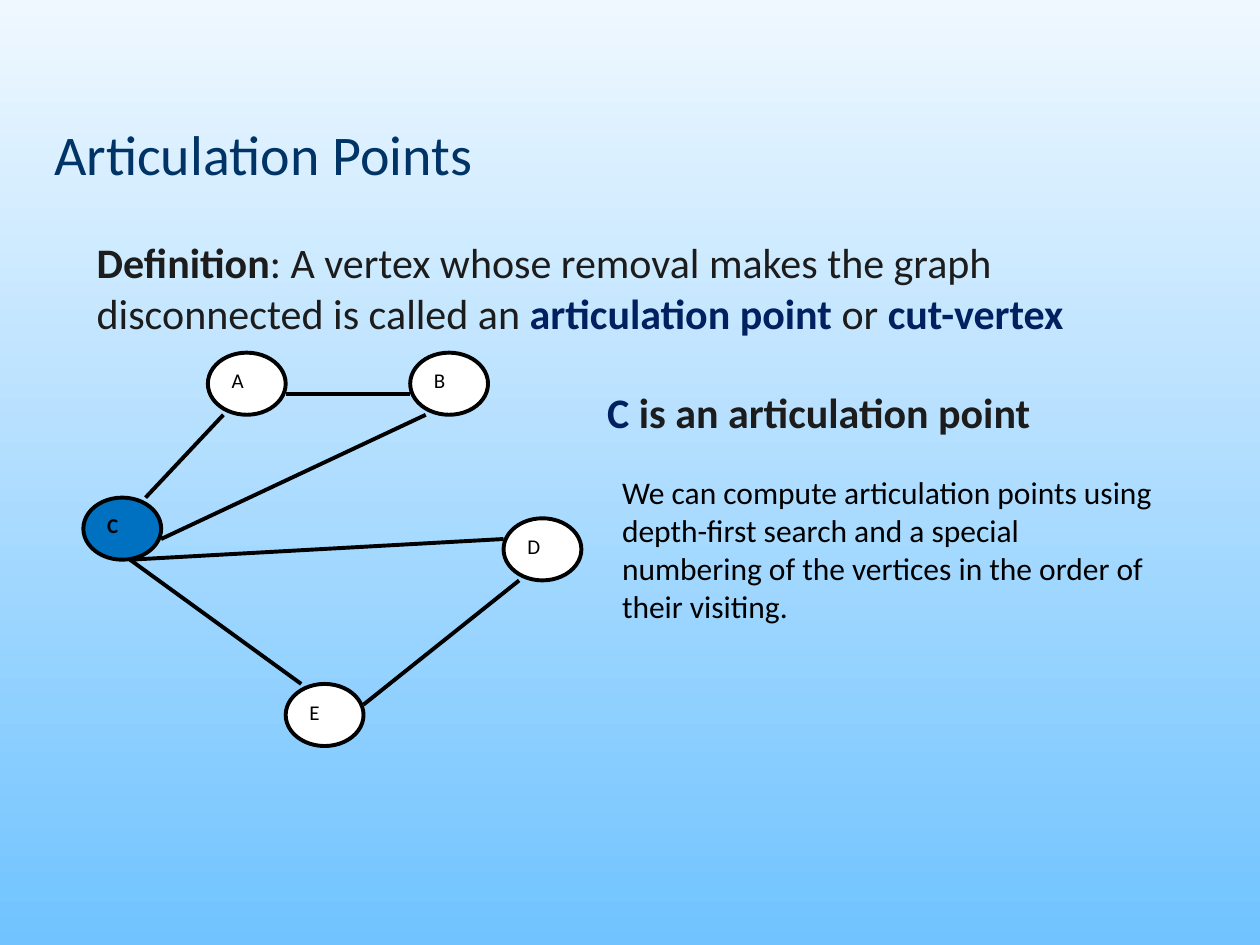
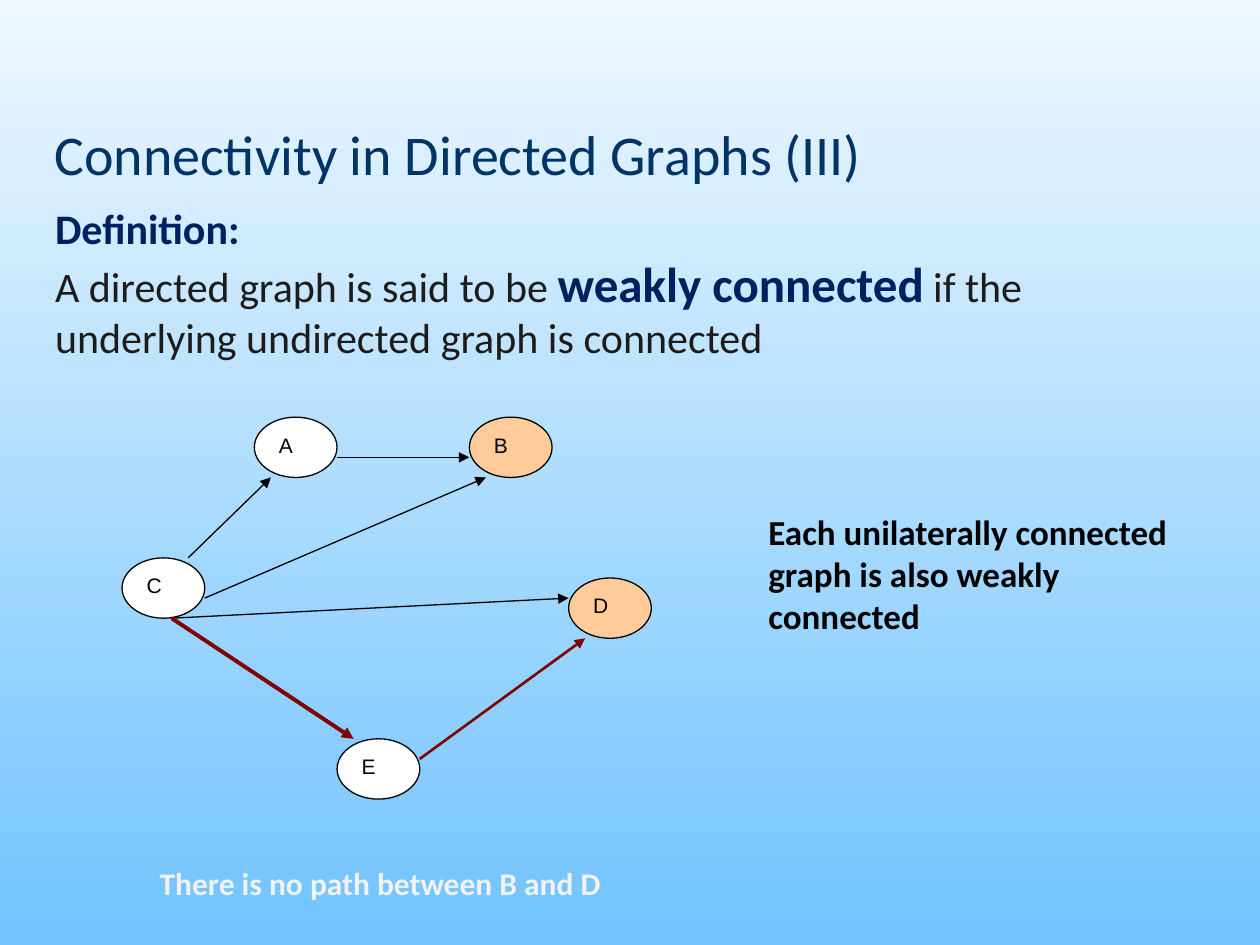
from lxml import etree
from pptx import Presentation
from pptx.dml.color import RGBColor
from pptx.enum.shapes import MSO_CONNECTOR, MSO_SHAPE
from pptx.enum.text import MSO_ANCHOR, MSO_AUTO_SIZE, PP_ALIGN
from pptx.oxml.ns import qn
from pptx.util import Cm, Pt

ELLIPSE = MSO_SHAPE.OVAL
STRAIGHT = MSO_CONNECTOR.STRAIGHT
LEFT = PP_ALIGN.LEFT
TOP, MIDDLE = MSO_ANCHOR.TOP, MSO_ANCHOR.MIDDLE
GROW = MSO_AUTO_SIZE.SHAPE_TO_FIT_TEXT

NAVY, TITLE_BLUE, INK = "002060", "003366", "1C1C1C"
BLACK, WHITE, PALE = "000000", "FFFFFF", "F2F2F2"
BLUE, PEACH, MAROON = "0070C0", "FFCC99", "800000"
SKY_TOP, SKY_BOTTOM = "EFF8FF", "70C3FF"

color = RGBColor.from_string


def style(run, size, hue, bold=False, font="Calibri"):
    run.font.name = font
    run.font.size = Pt(size)
    run.font.bold = bold
    run.font.color.rgb = color(hue)


def add_text(slide, left, top, width, height, pieces):
    """Pieces are (text, size, colour, bold); a leading \\v starts a new line."""
    box = slide.shapes.add_textbox(Cm(left), Cm(top), Cm(width), Cm(height))
    frame = box.text_frame
    frame.word_wrap = True
    frame.auto_size = GROW
    paragraph = frame.paragraphs[0]
    for text, size, hue, bold in pieces:
        if text.startswith("\v"):
            paragraph.add_line_break()
        run = paragraph.add_run()
        run.text = text.lstrip("\v")
        style(run, size, hue, bold)


prs = Presentation()
prs.slide_width, prs.slide_height = Cm(25.4), Cm(19.05)

# Shared background and title place
sky = prs.slide_master.background.fill
sky.gradient()
sky.gradient_angle = 270
for stop, position, hue in zip(sky.gradient_stops, (0, 1), (SKY_TOP, SKY_BOTTOM)):
    stop.position = position
    stop.color.rgb = color(hue)

title_only = prs.slide_layouts[5]
heading = title_only.placeholders[0]
heading.left, heading.top = Cm(0.84), Cm(2.24)
heading.width, heading.height = Cm(23.29), Cm(1.7)

# The graph lies on a grid of 32 x 19 units; a vertex takes 5 x 3 of them
GRID_COLUMNS, GRID_ROWS = 32, 19
VERTICES = {"A": (8, 0), "B": (21, 0), "C": (0, 7), "D": (27, 8), "E": (13, 16)}
EDGES = {
    "AB": (13, 2, 21, 2),
    "CA": (4, 7, 9, 3),
    "CB": (5, 9, 22, 3),
    "CD": (3, 10, 27, 9),
    "ED": (18, 17, 28, 11),
    "CE": (3, 10, 14, 16),
}

# What differs between the two slides
topics = [
    {
        "title": "Articulation Points",
        "graph": (1.68, 7.11, 10.04, 7.93),
        "font": "Calibri", "line": 2.25, "directed": False,
        "fills": {"C": BLUE}, "bold": "C", "edges": {},
        "texts": [
            (1.7, 4.65, 21.8, 2.29, [
                ("Definition", 24, INK, True),
                (": A vertex whose removal makes the graph disconnected is called an ",
                 24, INK, False),
                ("articulation point", 24, NAVY, True),
                (" or ", 24, INK, False),
                ("cut-vertex", 24, NAVY, True)]),
            (11.99, 7.67, 11, 1.27, [
                ("C ", 24, NAVY, True),
                ("is an articulation point", 24, INK, True)]),
            (12.29, 9.42, 11.43, 3.3, [
                ("We can compute articulation points using depth-first search and a "
                 "special numbering of the vertices in the order of their visiting.",
                 18, BLACK, False)]),
        ],
    },
    {
        "title": "Connectivity in Directed Graphs (III)",
        "graph": (2.46, 8.41, 10.67, 7.7),
        "font": "Arial", "line": 0.75, "directed": True,
        "fills": {"B": PEACH, "D": PEACH}, "bold": "",
        "edges": {"ED": (MAROON, 1.5), "CE": (MAROON, 2.25)},
        "texts": [
            (0.86, 3.96, 22.66, 3.48, [
                ("Definition:", 24, NAVY, True),
                ("\vA directed graph is said to be ", 24, INK, False),
                ("weakly connected", 28, NAVY, True),
                (" if the underlying undirected graph is connected", 24, INK, False)]),
            (2.97, 17.3, 11.86, 1.02, [
                ("There is no path between B and D", 18, PALE, True)]),
            (15.24, 10.16, 8.69, 2.79, [
                ("Each unilaterally connected graph is also weakly connected",
                 20, BLACK, True)]),
        ],
    },
]

for topic in topics:
    slide = prs.slides.add_slide(title_only)

    # Title
    title = slide.shapes.title.text_frame
    title.text = topic["title"]
    title.vertical_anchor = MIDDLE
    title.paragraphs[0].alignment = LEFT
    style(title.paragraphs[0].runs[0], 32, TITLE_BLUE)

    # Vertices
    left, top, width, height = topic["graph"]
    unit_x, unit_y = width / GRID_COLUMNS, height / GRID_ROWS
    graph = slide.shapes.add_group_shape().shapes
    for letter, (column, row) in VERTICES.items():
        vertex = graph.add_shape(
            ELLIPSE, Cm(left + column * unit_x), Cm(top + row * unit_y),
            Cm(5 * unit_x), Cm(3 * unit_y))
        vertex.shadow.inherit = False
        vertex.fill.solid()
        vertex.fill.fore_color.rgb = color(topic["fills"].get(letter, WHITE))
        vertex.line.color.rgb = color(BLACK)
        vertex.line.width = Pt(topic["line"])
        label = vertex.text_frame
        label.text = letter
        label.vertical_anchor = TOP
        label.paragraphs[0].alignment = LEFT
        style(label.paragraphs[0].runs[0], 12, BLACK, letter in topic["bold"], topic["font"])

    # Edges
    for ends, (x1, y1, x2, y2) in EDGES.items():
        hue, weight = topic["edges"].get(ends, (BLACK, topic["line"]))
        edge = graph.add_connector(
            STRAIGHT, Cm(left + x1 * unit_x), Cm(top + y1 * unit_y),
            Cm(left + x2 * unit_x), Cm(top + y2 * unit_y))
        edge.line.color.rgb = color(hue)
        edge.line.width = Pt(weight)
        if topic["directed"]:
            etree.SubElement(edge.line._get_or_add_ln(), qn("a:tailEnd"), type="triangle")
        etree.SubElement(edge._element.spPr, qn("a:effectLst"))

    # Definition and remarks
    for text in topic["texts"]:
        add_text(slide, *text)

prs.save("out.pptx")
